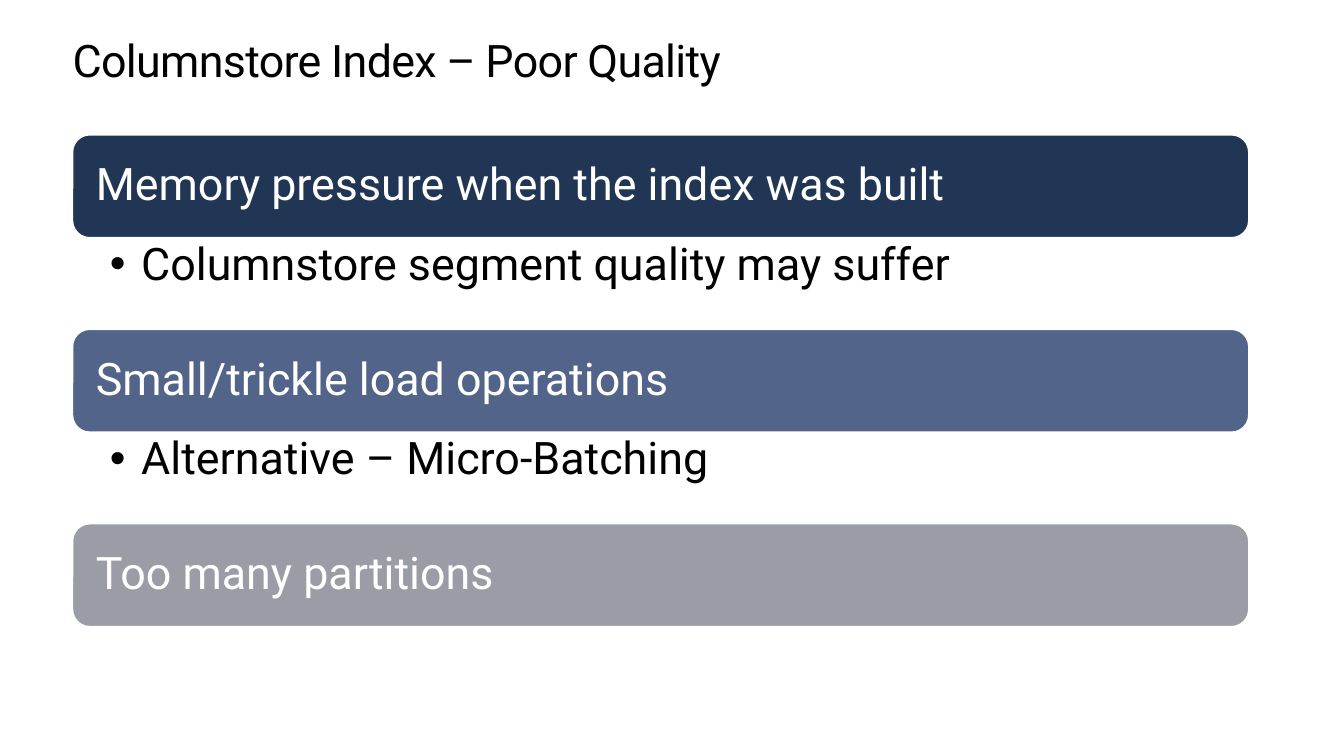
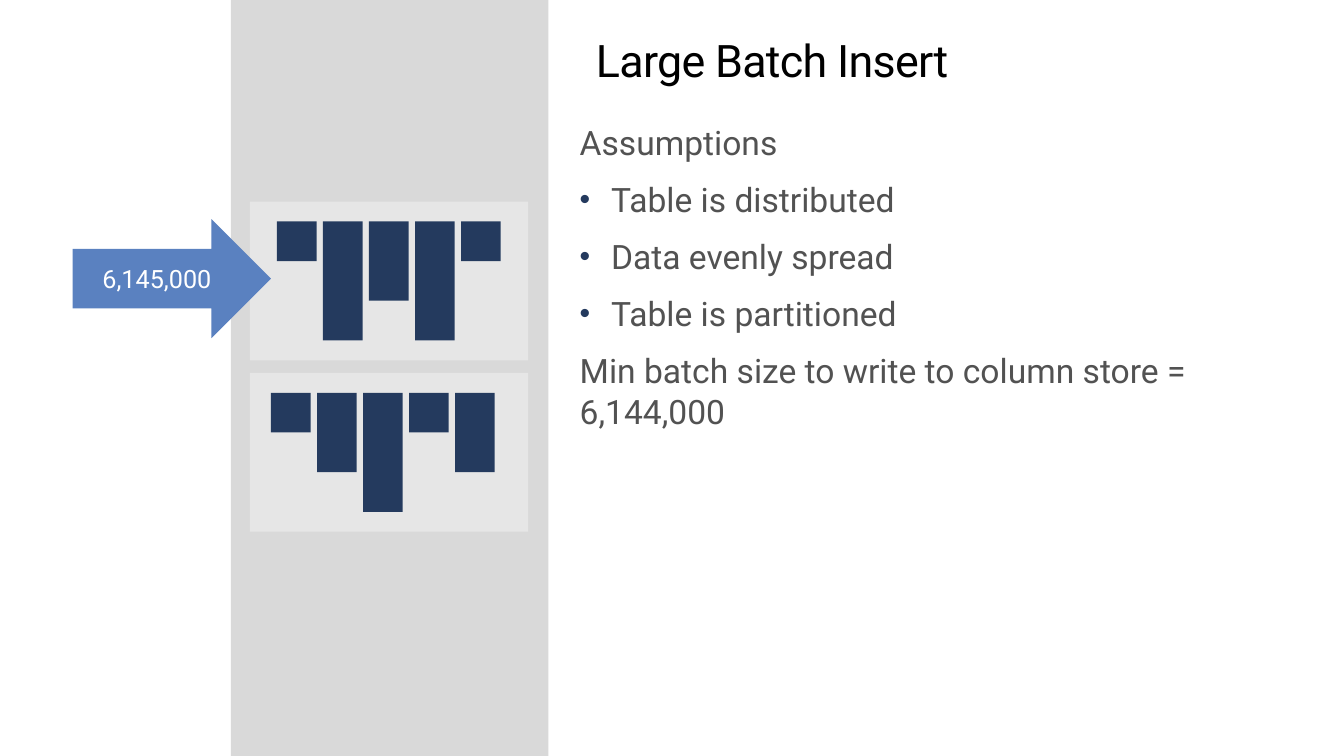
from lxml import etree
from pptx import Presentation
from pptx.dml.color import RGBColor
from pptx.enum.shapes import MSO_SHAPE
from pptx.enum.text import MSO_ANCHOR, MSO_AUTO_SIZE, PP_ALIGN
from pptx.oxml.ns import qn
from pptx.util import Cm, Pt

RECT = MSO_SHAPE.RECTANGLE
ROUND = MSO_SHAPE.ROUNDED_RECTANGLE
ARROW = MSO_SHAPE.RIGHT_ARROW
TOP, MIDDLE = MSO_ANCHOR.TOP, MSO_ANCHOR.MIDDLE
LEFT, CENTER, RIGHT = PP_ALIGN.LEFT, PP_ALIGN.CENTER, PP_ALIGN.RIGHT

FONT = "Roboto"
BLACK, WHITE, GREY = "000000", "FFFFFF", "525252"
NAVY, BLUE = "243A5E", "5A81C0"
BAND, PANEL = "D9D9D9", "E6E6E6"
WIDTH, HEIGHT = 33.87, 19.05
MARGIN = 1.83
HANG = 0.79


def rgb(color):
    return RGBColor.from_string(color)


def place(shape, left, top, width, height):
    shape.left, shape.top = Cm(left), Cm(top)
    shape.width, shape.height = Cm(width), Cm(height)


def mark(para, bullet):
    """Give the paragraph a hanging bullet of that colour, or none."""
    props = para._p.get_or_add_pPr()
    indent = Cm(HANG) if bullet else 0
    props.set("marL", str(indent))
    props.set("indent", str(-indent))
    if not bullet:
        etree.SubElement(props, qn("a:buNone"))
        return
    tint = etree.SubElement(props, qn("a:buClr"))
    etree.SubElement(tint, qn("a:srgbClr"), val=bullet)
    size = "100000" if bullet == BLACK else "90000"
    etree.SubElement(props, qn("a:buSzPct"), val=size)
    etree.SubElement(props, qn("a:buFont"), typeface="Arial")
    etree.SubElement(props, qn("a:buChar"), char="•")


def write(shape, *lines, size=32, color=BLACK, align=LEFT, anchor=TOP,
          pad=(0, 0, 0, 0), lead=1.0, gap=0, track=0):
    """Fill a shape with lines, each a text or a (text, bullet colour) pair."""
    frame = shape.text_frame
    frame.word_wrap = True
    frame.auto_size = MSO_AUTO_SIZE.NONE
    frame.vertical_anchor = anchor
    (frame.margin_left, frame.margin_top,
     frame.margin_right, frame.margin_bottom) = map(Cm, pad)
    for i, line in enumerate(lines):
        text, bullet = (line, None) if isinstance(line, str) else line
        para = frame.add_paragraph() if i else frame.paragraphs[0]
        mark(para, bullet)
        para.alignment = align
        para.line_spacing = lead
        para.space_before = Pt(gap if i else 0)
        run = para.add_run()
        run.text = text
        font = run.font
        font.name, font.size = FONT, Pt(size)
        font.color.rgb = rgb(color)
        if track:
            run._r.get_or_add_rPr().set("spc", str(track))


def draw(slide, kind, left, top, width, height, fill, line=None):
    shape = slide.shapes.add_shape(
        kind, Cm(left), Cm(top), Cm(width), Cm(height))
    shape.shadow.inherit = False
    shape.fill.solid()
    shape.fill.fore_color.rgb = rgb(fill)
    if line:
        shape.line.color.rgb = rgb(line)
        shape.line.width = Pt(1)
    else:
        shape.line.fill.background()
    return shape


def start(deck, layout, title, width, align=LEFT):
    """Add a slide with its title."""
    slide = deck.slides.add_slide(deck.slide_layouts.get_by_name(layout))
    head = slide.shapes.title
    place(head, MARGIN, 0.89, width, 1.27)
    write(head, title, align=align, lead=Pt(36.2), track=-50)
    return slide


def card(slide, top, fill, label, detail):
    """Draw a coloured heading bar with an optional bullet below it."""
    width, height = 29.64, 2.59
    bar = draw(slide, ROUND, MARGIN, top, width, height, fill, WHITE)
    write(bar, label, color=WHITE, anchor=MIDDLE, lead=0.9,
          pad=(0.46, 0.33, 0.46, 0.33))
    if detail:
        note = slide.shapes.add_textbox(
            Cm(MARGIN), Cm(top + height), Cm(width), Cm(2.31))
        write(note, (detail, BLACK), lead=0.9, pad=(0.94, 0.1, 0.64, 0.1))


def panel(slide, top, inset, sizes):
    """Draw a panel with hanging bars, sized in whole units."""
    left, unit, step = 6.3, 1, 1.16
    draw(slide, RECT, left, top, 7.01, 4, PANEL)
    for i, size in enumerate(sizes):
        draw(slide, RECT, left + inset + i * step, top + 0.5,
             unit, size * unit, NAVY)


def quality(deck):
    slide = start(deck, "Title Only", "Columnstore Index – Poor Quality", 30.23)
    cards = [
        ("213555", "Memory pressure when the index was built",
         "Columnstore segment quality may suffer"),
        ("526489", "Small/trickle load operations",
         "Alternative – Micro-Batching"),
        ("9A9DA5", "Too many partitions", None),
    ]
    for i, (fill, label, detail) in enumerate(cards):
        card(slide, 3.4 + i * 4.9, fill, label, detail)


def batch(deck):
    slide = start(deck, "Title and Content", "Large Batch Insert", 22.07, RIGHT)
    body = slide.placeholders[1]
    place(body, 14.61, 3.07, 18.52, 15.24)
    write(body,
          "Assumptions",
          ("Table is distributed", NAVY),
          ("Data evenly spread", NAVY),
          ("Table is partitioned", NAVY),
          "Min batch size to write to column store = 6,144,000",
          size=24, color=GREY, gap=12)
    draw(slide, RECT, 5.82, 0, 8, HEIGHT, BAND)
    panel(slide, 5.08, 0.68, (1, 3, 2, 3, 1))
    panel(slide, 9.4, 0.53, (1, 2, 3, 1, 2))
    arrow = draw(slide, ARROW, MARGIN, 5.52, 5, 3, BLUE)
    write(arrow, "6,145,000", size=18, color=WHITE, align=CENTER,
          anchor=MIDDLE, pad=(0.25, 0.13, 0.25, 0.13))


def main():
    deck = Presentation()
    deck.slide_width, deck.slide_height = Cm(WIDTH), Cm(HEIGHT)
    quality(deck)
    batch(deck)
    deck.save("out.pptx")


if __name__ == "__main__":
    main()
